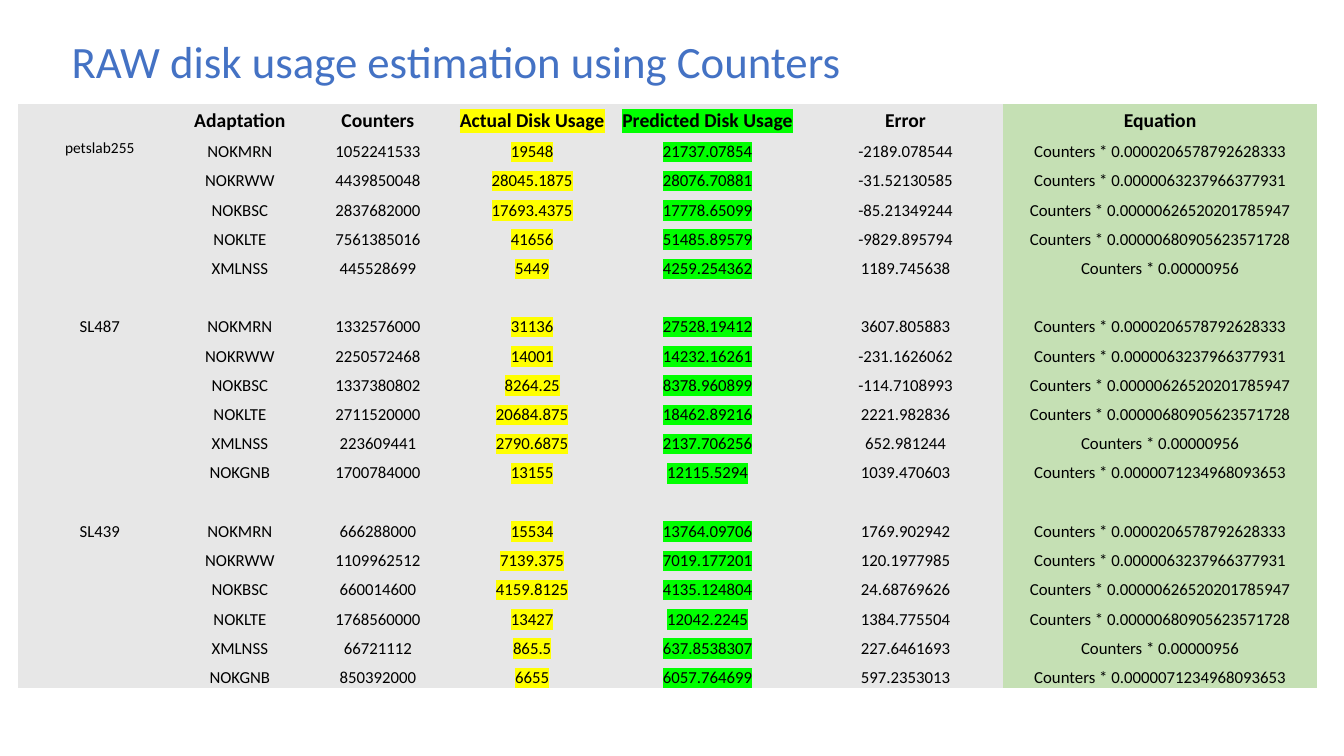
import pptx
import pptx.dml.color
import pptx.enum.text
import pptx.oxml.ns
import pptx.util
from lxml import etree

Pt = pptx.util.Pt
qn = pptx.oxml.ns.qn
ANCHOR = pptx.enum.text.MSO_ANCHOR
ALIGN = pptx.enum.text.PP_ALIGN

FONT = "Calibri"
COLORS = {
    "title": "4472C4",
    "text": "000000",
    "grey": "E7E7E7",
    "equation": "C5E0B4",
    "actual": "FFFF00",
    "predicted": "00FF00",
}
NO_GRID_STYLE = "{2D5ABB26-0587-4C30-8999-92F81FD0307C}"
ROW_HEIGHT = 20.88
COLUMN_WIDTHS = [116.64, 83.52, 113.76, 106.56, 144, 138.96, 224.64]
HEADERS = ["", "Adaptation", "Counters", "Actual Disk Usage",
           "Predicted Disk Usage", "Error", "Equation"]
HIGHLIGHTS = {3: "actual", 4: "predicted"}
FACTORS = {
    "NOKMRN": "0.0000206578792628333",
    "NOKRWW": "0.0000063237966377931",
    "NOKBSC": "0.00000626520201785947",
    "NOKLTE": "0.00000680905623571728",
    "XMLNSS": "0.00000956",
    "NOKGNB": "0.0000071234968093653",
}
# Per server: counters, actual usage, predicted usage, error, in FACTORS order
SERVERS = {
    "petslab255": [
        ("1052241533", "19548", "21737.07854", "-2189.078544"),
        ("4439850048", "28045.1875", "28076.70881", "-31.52130585"),
        ("2837682000", "17693.4375", "17778.65099", "-85.21349244"),
        ("7561385016", "41656", "51485.89579", "-9829.895794"),
        ("445528699", "5449", "4259.254362", "1189.745638"),
    ],
    "SL487": [
        ("1332576000", "31136", "27528.19412", "3607.805883"),
        ("2250572468", "14001", "14232.16261", "-231.1626062"),
        ("1337380802", "8264.25", "8378.960899", "-114.7108993"),
        ("2711520000", "20684.875", "18462.89216", "2221.982836"),
        ("223609441", "2790.6875", "2137.706256", "652.981244"),
        ("1700784000", "13155", "12115.5294", "1039.470603"),
    ],
    "SL439": [
        ("666288000", "15534", "13764.09706", "1769.902942"),
        ("1109962512", "7139.375", "7019.177201", "120.1977985"),
        ("660014600", "4159.8125", "4135.124804", "24.68769626"),
        ("1768560000", "13427", "12042.2245", "1384.775504"),
        ("66721112", "865.5", "637.8538307", "227.6461693"),
        ("850392000", "6655", "6057.764699", "597.2353013"),
    ],
}


def rgb(name):
    return pptx.dml.color.RGBColor.from_string(COLORS[name])


def table_rows():
    """Return the header and server rows, with a blank row between servers."""
    rows = [HEADERS]
    for server, measures in SERVERS.items():
        if len(rows) > 1:
            rows.append([""] * len(HEADERS))
        for i, (adaptation, values) in enumerate(zip(FACTORS, measures)):
            label = server if i == 0 else ""
            equation = f"Counters * {FACTORS[adaptation]}"
            rows.append([label, adaptation, *values, equation])
    return rows


def format_run(r, size, color, bold=False):
    r.font.name = FONT
    r.font.size = Pt(size)
    r.font.bold = bold
    r.font.color.rgb = rgb(color)


def highlight_run(r, color):
    """Mark a run; the highlight must directly follow its text fill."""
    mark = etree.Element(qn("a:highlight"))
    etree.SubElement(mark, qn("a:srgbClr"), val=COLORS[color])
    r.font._element.find(qn("a:solidFill")).addnext(mark)


def fill_cell(cell, text, size, fill, bold=False, highlight=None):
    cell.fill.solid()
    cell.fill.fore_color.rgb = rgb(fill)
    cell.margin_left = cell.margin_right = cell.margin_top = Pt(0.72)
    cell.margin_bottom = Pt(0)
    cell.vertical_anchor = ANCHOR.BOTTOM
    p = cell.text_frame.paragraphs[0]
    p.alignment = ALIGN.CENTER
    if not text:
        # An empty cell needs a small font so that its row does not grow
        etree.SubElement(p._p, qn("a:endParaRPr"), sz=str(size * 100))
        return
    p.text = text
    r = p.runs[0]
    format_run(r, size, "text", bold)
    if highlight:
        highlight_run(r, highlight)


def add_title(s, text):
    sp = s.shapes.title
    sp.left, sp.top, sp.width, sp.height = Pt(43.92), Pt(29.52), Pt(872.64), Pt(32.4)
    tf = sp.text_frame
    tf.text = text
    tf.auto_size = pptx.enum.text.MSO_AUTO_SIZE.NONE
    tf.word_wrap = True
    tf.vertical_anchor = ANCHOR.MIDDLE
    p = tf.paragraphs[0]
    p.alignment = ALIGN.LEFT
    p.line_spacing = 0.9
    format_run(p.runs[0], 32, "title")


def add_usage_table(s, rows):
    frame = s.shapes.add_table(len(rows), len(HEADERS), Pt(12.96), Pt(74.16),
                               Pt(sum(COLUMN_WIDTHS)), Pt(ROW_HEIGHT * len(rows)))
    table = frame.table
    table.horz_banding = False
    frame._element.find(".//" + qn("a:tableStyleId")).text = NO_GRID_STYLE
    for column, width in zip(table.columns, COLUMN_WIDTHS):
        column.width = Pt(width)
    for i, values in enumerate(rows):
        table.rows[i].height = Pt(ROW_HEIGHT)
        for j, text in enumerate(values):
            fill = "equation" if j == len(HEADERS) - 1 else "grey"
            fill_cell(table.cell(i, j), text, 14 if i == 0 else 12, fill,
                      bold=i == 0, highlight=HIGHLIGHTS.get(j))
    first_server = table.cell(1, 0)
    first_server.vertical_anchor = ANCHOR.MIDDLE
    first_server.text_frame.paragraphs[0].runs[0].font.size = Pt(11)


def main():
    prs = pptx.Presentation()
    prs.slide_width, prs.slide_height = Pt(960), Pt(540)
    s = prs.slides.add_slide(prs.slide_layouts[5])
    add_title(s, "RAW disk usage estimation using Counters")
    add_usage_table(s, table_rows())
    prs.save("out.pptx")


if __name__ == "__main__":
    main()
